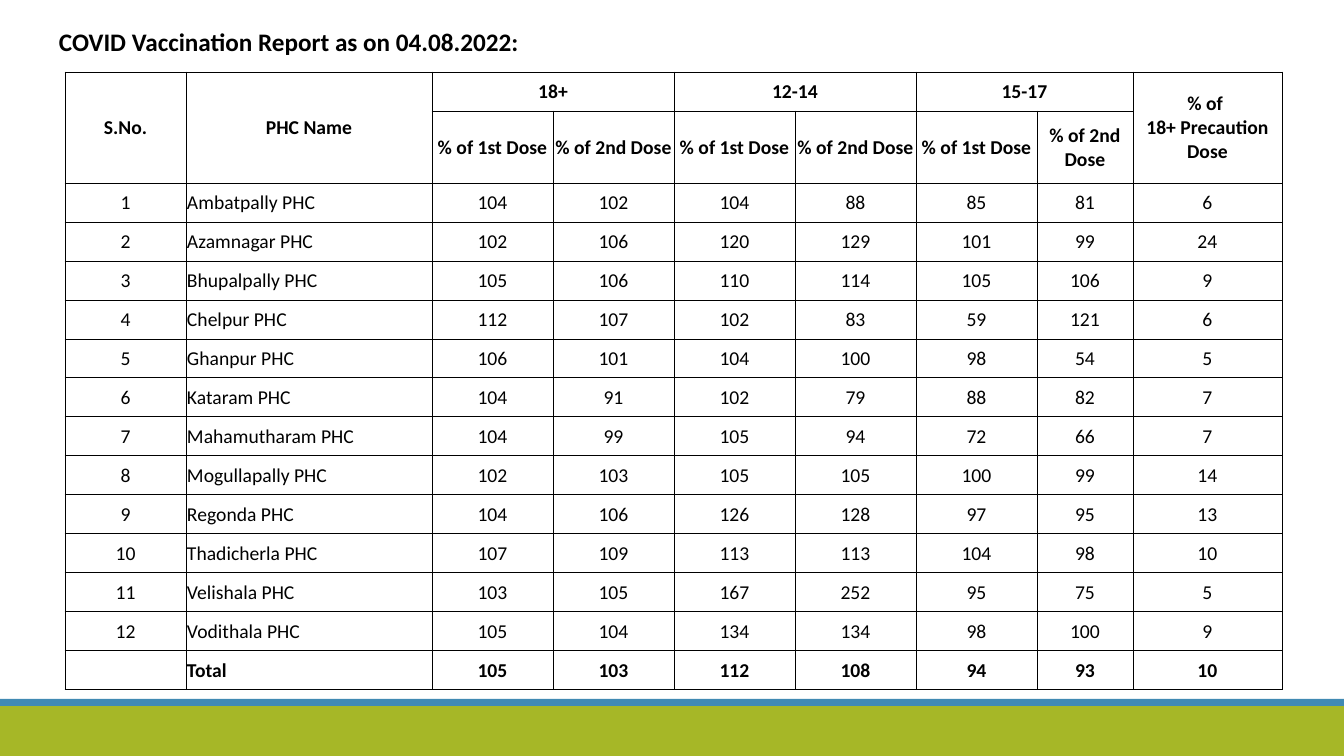
from lxml import etree
from pptx import Presentation
from pptx.dml.color import RGBColor
from pptx.enum.shapes import MSO_SHAPE
from pptx.enum.text import MSO_ANCHOR, MSO_AUTO_SIZE, PP_ALIGN
from pptx.oxml.ns import qn
from pptx.util import Pt

RECTANGLE = MSO_SHAPE.RECTANGLE
MIDDLE = MSO_ANCHOR.MIDDLE
LEFT, CENTER = PP_ALIGN.LEFT, PP_ALIGN.CENTER
FIT_SHAPE = MSO_AUTO_SIZE.SHAPE_TO_FIT_TEXT

TITLE = "COVID Vaccination Report as on 04.08.2022:"
AGE_GROUPS = ["18+", "12-14", "15-17"]
DOSES = ["% of 1st Dose", "% of 2nd Dose"]
PRECAUTION = "% of \n18+ Precaution Dose"
CENTRES = [
    ("Ambatpally PHC", 104, 102, 104, 88, 85, 81, 6),
    ("Azamnagar PHC", 102, 106, 120, 129, 101, 99, 24),
    ("Bhupalpally PHC", 105, 106, 110, 114, 105, 106, 9),
    ("Chelpur PHC", 112, 107, 102, 83, 59, 121, 6),
    ("Ghanpur PHC", 106, 101, 104, 100, 98, 54, 5),
    ("Kataram PHC", 104, 91, 102, 79, 88, 82, 7),
    ("Mahamutharam PHC", 104, 99, 105, 94, 72, 66, 7),
    ("Mogullapally PHC", 102, 103, 105, 105, 100, 99, 14),
    ("Regonda PHC", 104, 106, 126, 128, 97, 95, 13),
    ("Thadicherla PHC", 107, 109, 113, 113, 104, 98, 10),
    ("Velishala PHC", 103, 105, 167, 252, 95, 75, 5),
    ("Vodithala PHC", 105, 104, 134, 134, 98, 100, 9),
]
TOTAL = ("", "Total", 105, 103, 112, 108, 94, 93, 10)

THEME = {
    "font": "Calibri", "title_size": 18, "cell_size": 14, "border_width": 0.5,
    "ink": "000000", "paper": "FFFFFF", "green": "A6B727", "blue": "418AB3",
}

SLIDE_SIZE = (1344, 756)
TITLE_BOX = (49, 21, 988, 40)
FOOTER_BARS = [("green", (0, 706, 1344, 50)), ("blue", (0, 699, 1344, 7))]
TABLE_LEFT, TABLE_TOP = 65, 72
COLUMN_WIDTHS = [121, 246] + [121] * 5 + [96, 149]
ROW_HEIGHT, DOSE_ROW_HEIGHT = 39, 72
HEADER_ROWS = 2
NAME_COLUMN = 1
CELL_FORMAT = {"margin_left": 1, "margin_right": 1, "margin_top": 1, "margin_bottom": 0}


def px(length):
    return round(length * 914400 / 100.8)


def color(name):
    return RGBColor.from_string(THEME[name])


def style_text(frame, size, bold, align):
    for para in frame.paragraphs:
        para.alignment = align
        for span in para.runs:
            span.font.color.rgb = color("ink")
            for name, value in {"name": THEME["font"], "size": Pt(size), "bold": bold}.items():
                setattr(span.font, name, value)


def add_borders(cell):
    """Line all four sides; borders must come before the fill in the cell XML."""
    properties = cell._tc.get_or_add_tcPr()
    for index, side in enumerate(("lnL", "lnR", "lnT", "lnB")):
        line = etree.Element(qn(f"a:{side}"), w=str(Pt(THEME["border_width"])))
        fill = etree.SubElement(line, qn("a:solidFill"))
        etree.SubElement(fill, qn("a:srgbClr"), val=THEME["ink"])
        properties.insert(index, line)


def table_rows():
    groups = [text for group in AGE_GROUPS for text in (group, "")]
    numbered = [(number, *centre) for number, centre in enumerate(CENTRES, 1)]
    return [
        ["S.No.", "PHC Name", *groups, PRECAUTION],
        ["", "", *DOSES * len(AGE_GROUPS), ""],
        *numbered,
        TOTAL,
    ]


def add_report_table(page):
    rows = table_rows()
    heights = [ROW_HEIGHT] * len(rows)
    heights[1] = DOSE_ROW_HEIGHT
    bounds = (TABLE_LEFT, TABLE_TOP, sum(COLUMN_WIDTHS), sum(heights))
    table = page.shapes.add_table(len(rows), len(COLUMN_WIDTHS), *map(px, bounds)).table
    table.first_row = table.horz_banding = False
    for column, width in zip(table.columns, COLUMN_WIDTHS):
        column.width = px(width)
    for row, height in zip(table.rows, heights):
        row.height = px(height)

    for r, values in enumerate(rows):
        is_header = r < HEADER_ROWS
        bold = is_header or values is TOTAL
        for c, value in enumerate(values):
            cell = table.cell(r, c)
            cell.text = str(value)
            cell.vertical_anchor = MIDDLE
            for name, margin in CELL_FORMAT.items():
                setattr(cell, name, px(margin))
            cell.fill.solid()
            cell.fill.fore_color.rgb = color("paper")
            add_borders(cell)
            align = LEFT if c == NAME_COLUMN and not is_header else CENTER
            style_text(cell.text_frame, THEME["cell_size"], bold, align)

    last = len(COLUMN_WIDTHS) - 1
    for c in (0, NAME_COLUMN, last):
        table.cell(0, c).merge(table.cell(1, c))
    for c in range(NAME_COLUMN + 1, last, len(DOSES)):
        table.cell(0, c).merge(table.cell(0, c + len(DOSES) - 1))


def main():
    deck = Presentation()
    deck.slide_width, deck.slide_height = map(px, SLIDE_SIZE)
    page = deck.slides.add_slide(deck.slide_layouts[6])

    for name, bounds in FOOTER_BARS:
        bar = page.shapes.add_shape(RECTANGLE, *map(px, bounds))
        bar.shadow.inherit = False
        bar.fill.solid()
        bar.fill.fore_color.rgb = color(name)
        bar.line.fill.background()

    box = page.shapes.add_textbox(*map(px, TITLE_BOX))
    frame = box.text_frame
    frame.word_wrap = True
    frame.auto_size = FIT_SHAPE
    frame.text = TITLE
    style_text(frame, THEME["title_size"], True, LEFT)

    add_report_table(page)
    deck.save("out.pptx")


if __name__ == "__main__":
    main()
